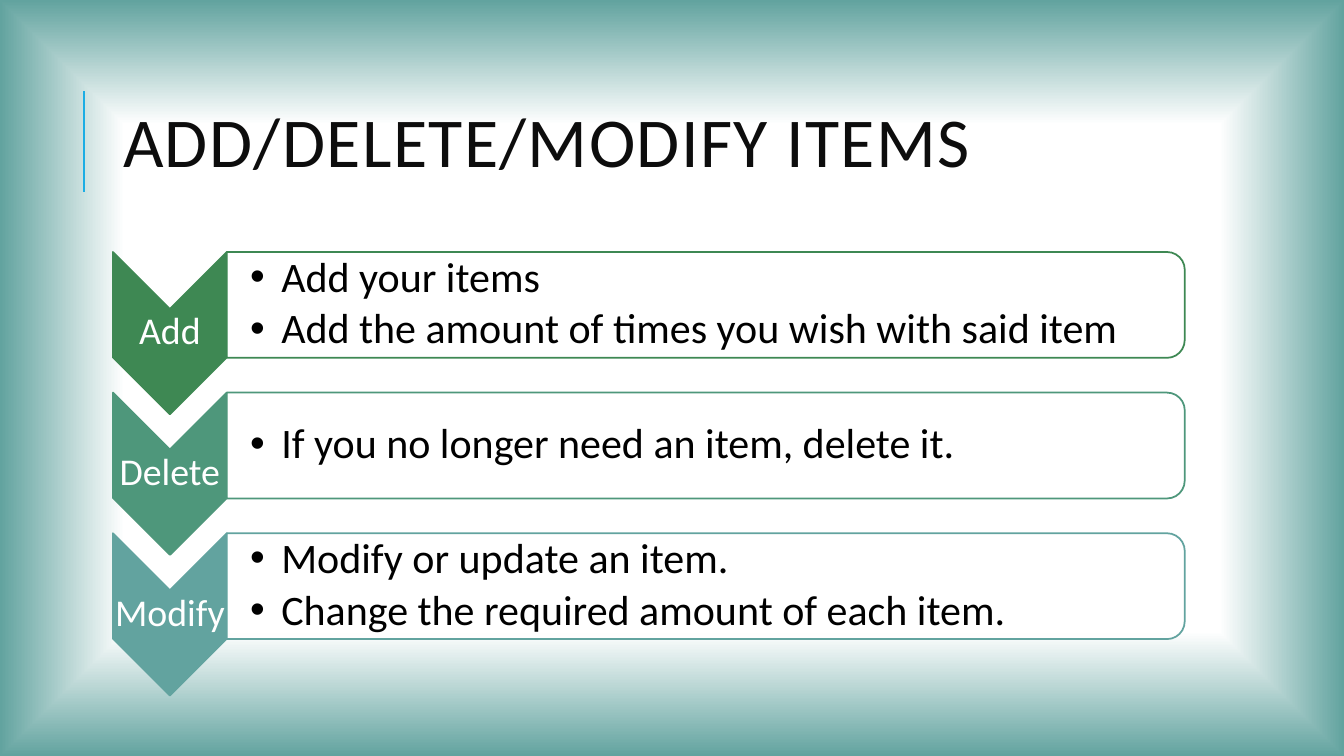
from dataclasses import dataclass

from lxml.etree import SubElement
from pptx import Presentation
from pptx.dml.color import RGBColor
from pptx.enum.shapes import MSO_CONNECTOR, MSO_SHAPE
from pptx.enum.text import MSO_ANCHOR, PP_ALIGN
from pptx.oxml import parse_xml
from pptx.oxml.ns import nsdecls, qn
from pptx.util import Inches, Pt

FONT = "Calibri"
LEFT, FIRST_TOP, ROW_PITCH = 1.12, 2.5, 1.395
CHEVRON_WIDTH, CHEVRON_HEIGHT = 1.13, 1.61
PANEL_WIDTH, PANEL_HEIGHT = 9.5, 1.05
BULLET_INDENT = 0.31


@dataclass
class Step:
    label: str
    color: str
    items: list[str]


STEPS = [
    Step("Add", "3E8853", ["Add your items", "Add the amount of times you wish with said item"]),
    Step("Delete", "4E977B", ["If you no longer need an item, delete it."]),
    Step("Modify", "62A39F", ["Modify or update an item.", "Change the required amount of each item."]),
]


def rgb(color: str) -> RGBColor:
    return RGBColor.from_string(color)


def write_text(shape, lines: list[str], *, size: float, color: str, align=PP_ALIGN.LEFT,
               line_spacing: float = 0.9, gap: float = 0, bulleted: bool = False,
               tracking: int = 0, insets: tuple = (0.02, 0.02, 0.02, 0.02)) -> None:
    frame = shape.text_frame
    frame.word_wrap = True
    frame.vertical_anchor = MSO_ANCHOR.MIDDLE
    frame.margin_left, frame.margin_top, frame.margin_right, frame.margin_bottom = map(Inches, insets)
    for index, line in enumerate(lines):
        paragraph = frame.paragraphs[0] if index == 0 else frame.add_paragraph()
        paragraph.alignment = align
        paragraph.line_spacing = line_spacing
        if index < len(lines) - 1:
            paragraph.space_after = Pt(gap)
        if bulleted:
            properties = paragraph._p.get_or_add_pPr()
            properties.set("marL", str(Inches(BULLET_INDENT)))
            properties.set("indent", str(-Inches(BULLET_INDENT)))
            SubElement(properties, qn("a:buFont")).set("typeface", "Arial")
            SubElement(properties, qn("a:buChar")).set("char", "•")
        run = paragraph.add_run()
        run.text = line
        run.font.name = FONT
        run.font.size = Pt(size)
        run.font.color.rgb = rgb(color)
        if tracking:
            run._r.get_or_add_rPr().set("spc", str(tracking))


def add_text_box(slide, left: float, top: float, width: float, height: float,
                 lines: list[str], **text_format) -> None:
    box = slide.shapes.add_textbox(Inches(left), Inches(top), Inches(width), Inches(height))
    write_text(box, lines, **text_format)


def add_turned_shape(slide, kind, left: float, top: float, width: float, height: float,
                     fill: str, line: str):
    offset = (width - height) / 2
    shape = slide.shapes.add_shape(kind, Inches(left + offset), Inches(top - offset),
                                   Inches(height), Inches(width))
    shape.rotation = 90
    shape.shadow.inherit = False
    shape.fill.solid()
    shape.fill.fore_color.rgb = rgb(fill)
    shape.line.color.rgb = rgb(line)
    shape.line.width = Pt(1.25)
    return shape


def add_step(slide, step: Step, top: float) -> None:
    add_turned_shape(slide, MSO_SHAPE.CHEVRON, LEFT, top, CHEVRON_WIDTH, CHEVRON_HEIGHT,
                     step.color, step.color)
    add_text_box(slide, LEFT, top + 0.56, CHEVRON_WIDTH, 0.48, [step.label],
                 size=27, color="FFFFFF", align=PP_ALIGN.CENTER)
    panel_left = LEFT + CHEVRON_WIDTH
    panel = add_turned_shape(slide, MSO_SHAPE.ROUND_2_SAME_RECTANGLE, panel_left, top,
                             PANEL_WIDTH, PANEL_HEIGHT, "FFFFFF", step.color)
    fill_color = panel._element.spPr.find(qn("a:solidFill"))[0]
    SubElement(fill_color, qn("a:alpha")).set("val", "90000")
    add_text_box(slide, panel_left, top + 0.05, 9.45, 0.94, step.items, size=30, color="000000",
                 gap=4.5, bulleted=True, insets=(0.23, 0.02, 0.02, 0.02))


def set_background(slide, stops: list[tuple[int, str]]) -> None:
    stop_xml = "".join(f'<a:gs pos="{position * 1000}"><a:srgbClr val="{color}"/></a:gs>'
                       for position, color in stops)
    background = parse_xml(
        f'<p:bg {nsdecls("p", "a")}><p:bgPr><a:gradFill rotWithShape="1">'
        f'<a:gsLst>{stop_xml}</a:gsLst><a:path path="shape">'
        '<a:fillToRect l="50000" t="50000" r="50000" b="50000"/></a:path>'
        '</a:gradFill><a:effectLst/></p:bgPr></p:bg>')
    slide._element.cSld.insert(0, background)


def add_title(slide, text: str) -> None:
    rule = slide.shapes.add_connector(MSO_CONNECTOR.STRAIGHT, Inches(0.83), Inches(1.9),
                                      Inches(0.83), Inches(0.9))
    rule.line.color.rgb = rgb("1CADE4")
    rule.line.width = Pt(1.5)
    SubElement(rule._element.spPr, qn("a:effectLst"))
    title = slide.shapes.title
    title.left, title.top, title.width, title.height = map(Inches, (LEFT, 0.64, 10.63, 1.64))
    write_text(title, [text], size=50, color="0D0D0D", line_spacing=0.8, tracking=100,
               insets=(0.1, 0.05, 0.1, 0.05))


def main() -> None:
    presentation = Presentation()
    presentation.slide_width = Inches(13.33)
    presentation.slide_height = Inches(7.5)
    slide = presentation.slides.add_slide(presentation.slide_layouts[5])
    set_background(slide, [(27, "FFFFFF"), (67, "FFFFFF"), (100, "62A39F")])
    add_title(slide, "ADD/DELETE/MODIFY ITEMS")
    for index, step in enumerate(STEPS):
        add_step(slide, step, FIRST_TOP + index * ROW_PITCH)
    presentation.save("out.pptx")


if __name__ == "__main__":
    main()
